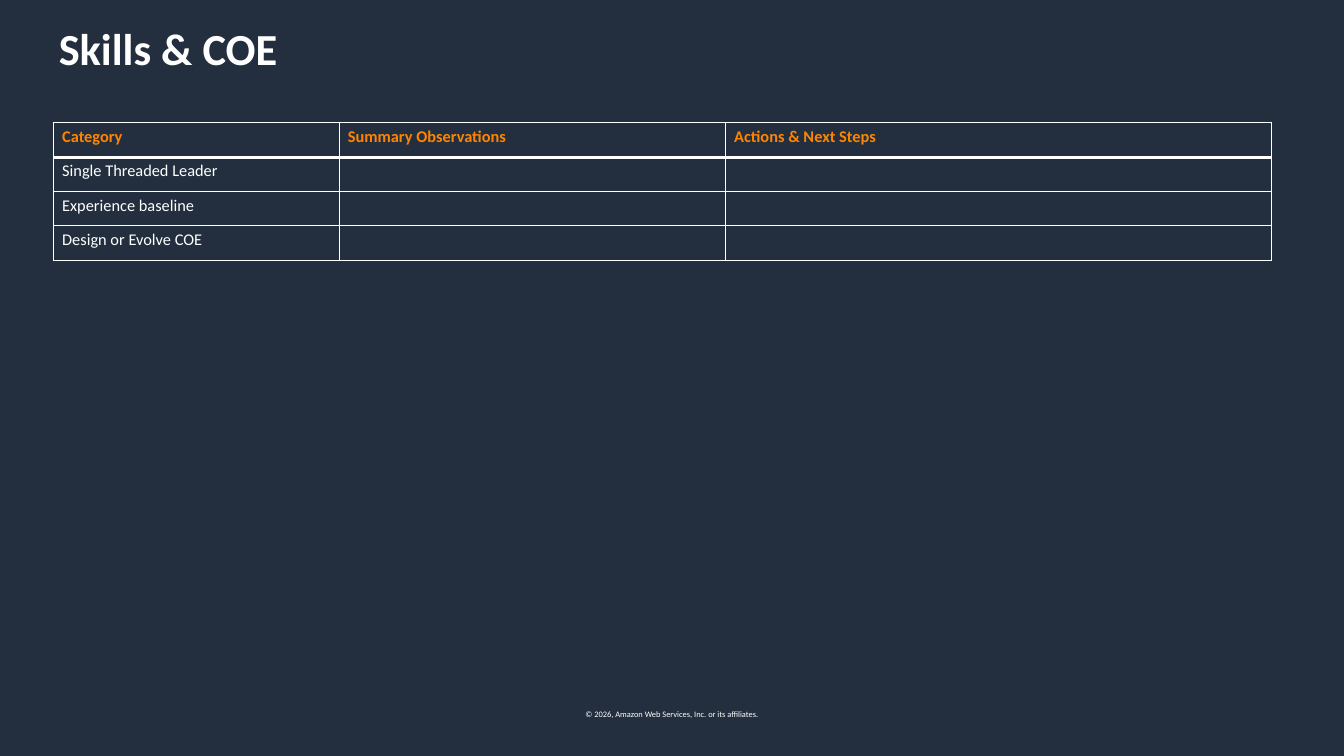
from dataclasses import dataclass

from pptx import Presentation
from pptx.dml.color import RGBColor
from pptx.enum.text import MSO_ANCHOR, MSO_AUTO_SIZE, PP_ALIGN
from pptx.oxml.ns import qn
from pptx.slide import Slide
from pptx.table import _Cell as Cell
from pptx.text.text import TextFrame
from pptx.util import Inches, Pt
from lxml.etree import SubElement


@dataclass(frozen=True)
class Theme:
    font: str = "Calibri"
    back: str = "232F3E"
    ink: str = "FFFFFF"
    accent: str = "FF8500"
    title: float = 38
    body: float = 14
    foot: float = 7.2
    thin: float = 1
    thick: float = 3


@dataclass(frozen=True)
class Column:
    head: str
    width: float
    items: tuple[str, ...] = ("", "", "")


THEME = Theme()
ROW = 0.41
COLUMNS = (
    Column("Category", 3.4,
           ("Single Threaded Leader", "Experience baseline", "Design or Evolve COE")),
    Column("Summary Observations", 4.6),
    Column("Actions & Next Steps", 6.5),
)


def write(frame: TextFrame, text: str, size: float, color: str = THEME.ink,
          bold: bool = False, align: PP_ALIGN = PP_ALIGN.LEFT) -> None:
    line = frame.paragraphs[0]
    line.alignment = align
    run = line.add_run()
    run.text = text
    run.font.name = THEME.font
    run.font.size = Pt(size)
    run.font.bold = bold
    run.font.color.rgb = RGBColor.from_string(color)


def border(cell: Cell, side: str, width: float) -> None:
    line = SubElement(cell._tc.get_or_add_tcPr(), qn(f"a:ln{side}"), w=str(Pt(width)))
    fill = SubElement(line, qn("a:solidFill"))
    SubElement(fill, qn("a:srgbClr"), val=THEME.ink)


def add_title(slide: Slide) -> None:
    title = slide.shapes.title
    title.left, title.top = Inches(0.6), Inches(0.2)
    title.width, title.height = Inches(13.75), Inches(0.95)
    frame = title.text_frame
    frame.vertical_anchor = MSO_ANCHOR.TOP
    frame.auto_size = MSO_AUTO_SIZE.NONE
    write(frame, "Skills & COE", THEME.title, bold=True)


def add_grid(slide: Slide) -> None:
    count = 1 + len(COLUMNS[0].items)
    width = sum(col.width for col in COLUMNS)
    table = slide.shapes.add_table(
        count, len(COLUMNS), Inches(0.64), Inches(1.46),
        Inches(width), Inches(ROW * count)).table
    table.first_row = table.horz_banding = False
    for row in table.rows:
        row.height = Inches(ROW)
    for x, col in enumerate(COLUMNS):
        table.columns[x].width = Inches(col.width)
        for y, text in enumerate((col.head, *col.items)):
            cell = table.cell(y, x)
            head = y == 0
            for side in "LRTB":
                rule = (y, side) in ((0, "B"), (1, "T"))
                border(cell, side, THEME.thick if rule else THEME.thin)
            cell.fill.background()
            if text:
                write(cell.text_frame, text, THEME.body,
                      THEME.accent if head else THEME.ink, head)


def add_footer(slide: Slide) -> None:
    box = slide.shapes.add_textbox(Inches(6.73), Inches(8.39), Inches(2.54), Inches(0.22))
    box.text_frame.word_wrap = False
    box.text_frame.auto_size = MSO_AUTO_SIZE.SHAPE_TO_FIT_TEXT
    write(box.text_frame, "© 2026, Amazon Web Services, Inc. or its affiliates.",
          THEME.foot, align=PP_ALIGN.CENTER)


def main() -> None:
    deck = Presentation()
    deck.slide_width, deck.slide_height = Inches(16), Inches(9)
    slide = deck.slides.add_slide(deck.slide_layouts[5])
    fill = slide.background.fill
    fill.solid()
    fill.fore_color.rgb = RGBColor.from_string(THEME.back)
    add_footer(slide)
    add_title(slide)
    add_grid(slide)
    deck.save("out.pptx")


if __name__ == "__main__":
    main()
